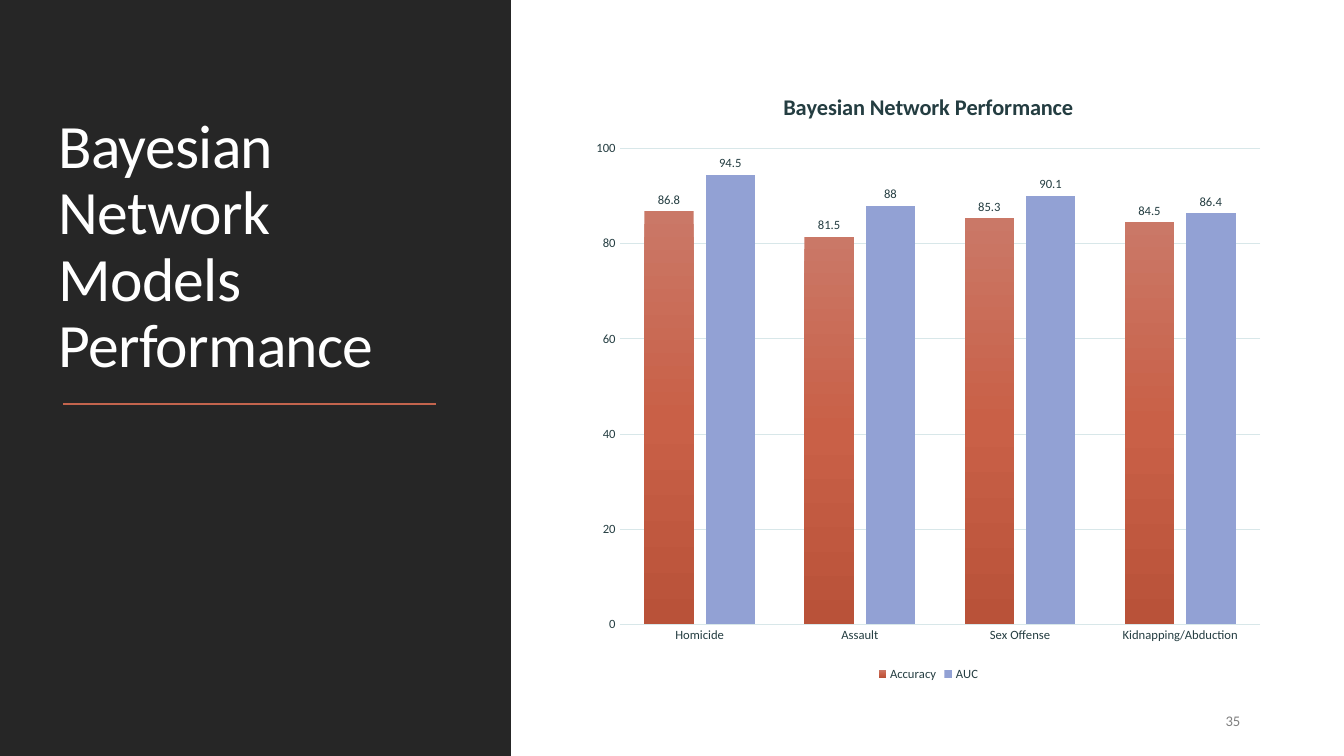
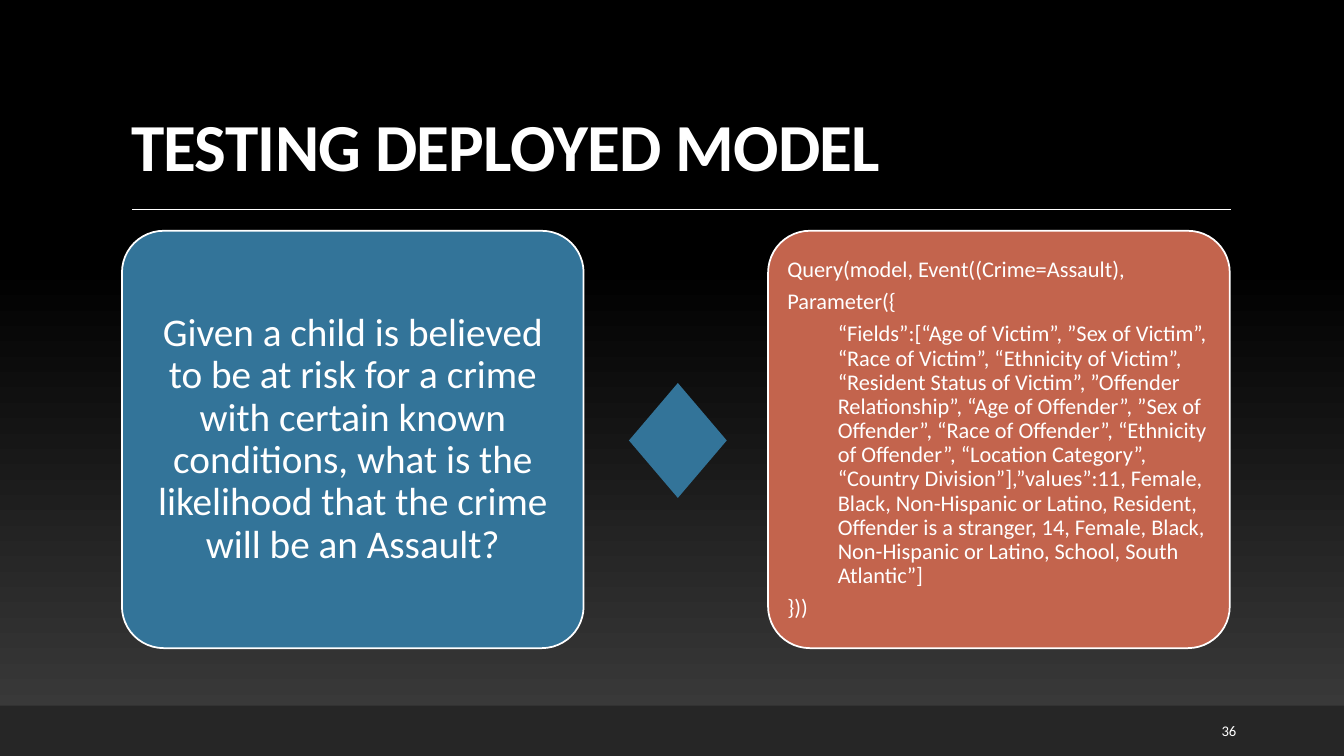
from copy import deepcopy
from dataclasses import dataclass

from lxml import etree
from pptx import Presentation
from pptx.chart.data import CategoryChartData
from pptx.dml.color import RGBColor
from pptx.enum.chart import XL_CHART_TYPE as Chart
from pptx.enum.chart import XL_LABEL_POSITION as LabelPos
from pptx.enum.chart import XL_LEGEND_POSITION as LegendPos
from pptx.enum.chart import XL_TICK_MARK as Tick
from pptx.enum.shapes import MSO_CONNECTOR as Connector
from pptx.enum.shapes import MSO_SHAPE as Shape
from pptx.enum.text import MSO_ANCHOR as Anchor
from pptx.enum.text import MSO_AUTO_SIZE as AutoSize
from pptx.enum.text import PP_ALIGN as Align
from pptx.oxml.ns import qn
from pptx.util import Inches, Pt

FONT = "Calibri"
COLORS = {
    "white": "FFFFFF", "black": "000000", "dark": "262626", "charcoal": "3F3F3F",
    "rust": "C3644D", "blue": "337499", "lilac": "92A1D4", "gray": "808080",
    "ink": "243D41", "grid": "D8E7E9",
    "bar_top": "CA7867", "bar_mid": "C96047", "bar_low": "B95239",
}
SLIDE_W, SLIDE_H = 40 / 3, 7.5
CARD_TOP, CARD_W, CARD_H = 2.29, 4.58, 4.14


@dataclass(frozen=True)
class Box:
    left: float
    top: float
    width: float
    height: float

    def lengths(self) -> tuple:
        return tuple(map(Inches, (self.left, self.top, self.width, self.height)))


@dataclass(frozen=True)
class Card:
    left: float
    color: str
    size: float
    inset: float  # added to the inset of the rounded corners
    align: Align
    lines: tuple  # (level, text) pairs


@dataclass(frozen=True)
class Series:
    name: str
    values: tuple
    stops: tuple  # (position, colour) pairs; a single one is a solid fill


SERIES = (
    Series("Accuracy", (86.8, 81.5, 85.3, 84.5),
           ((0, "bar_top"), (0.5, "bar_mid"), (1, "bar_low"))),
    Series("AUC", (94.5, 88, 90.1, 86.4), ((0, "lilac"),)),
)
CATEGORIES = ("Homicide", "Assault", "Sex Offense", "Kidnapping/Abduction")

CARDS = (
    Card(1.21, "blue", 28, 0.13, Align.CENTER, (
        (0, "Given a child is believed to be at risk for a crime with certain known "
            "conditions, what is the likelihood that the crime will be an Assault?"),
    )),
    Card(7.62, "rust", 16, 0.07, Align.LEFT, (
        (0, "Query(model, Event((Crime=Assault),"),
        (0, "Parameter({"),
        (1, "“Fields”:[“Age of Victim”, ”Sex of Victim”, “Race of Victim”, "
            "“Ethnicity of Victim”, “Resident Status of Victim”, ”Offender "
            "Relationship”, “Age of Offender”, ”Sex of Offender”, “Race of "
            "Offender”, “Ethnicity of Offender”, “Location Category”, “Country "
            "Division”],”values”:11, Female, Black, Non-Hispanic or Latino, "
            "Resident, Offender is a stranger, 14, Female, Black, Non-Hispanic "
            "or Latino, School, South Atlantic”]"),
        (0, "}))"),
    )),
)


# Shared helpers
def rgb(name: str) -> RGBColor:
    return RGBColor.from_string(COLORS[name])


def set_attrs(obj, **values) -> None:
    for name, value in values.items():
        setattr(obj, name, value)


def set_font(font, size: float, color: str, bold: bool = False) -> None:
    set_attrs(font, name=FONT, size=Pt(size), bold=bold)
    font.color.rgb = rgb(color)


def set_line(line, color: str, width: float) -> None:
    line.color.rgb = rgb(color)
    line.width = Pt(width)


def set_solid(fill, color: str) -> None:
    fill.solid()
    fill.fore_color.rgb = rgb(color)


def set_gradient(fill, element, stops: tuple, angle: float) -> None:
    """Fill with the given stops; element is the XML that holds the fill."""
    fill.gradient()
    fill.gradient_angle = angle
    gs_list = element.find(".//" + qn("a:gsLst"))
    while len(gs_list) < len(stops):
        gs_list.append(deepcopy(gs_list[0]))
    for stop, (position, color) in zip(fill.gradient_stops, stops):
        stop.position = position
        stop.color.rgb = rgb(color)


def add_block(s, kind: Shape, box: Box, color: str):
    sp = s.shapes.add_shape(kind, *box.lengths())
    sp.shadow.inherit = False
    set_solid(sp.fill, color)
    sp.line.fill.background()
    return sp


def add_rule(s, left: float, right: float, y: float, color: str, width: float) -> None:
    rule = s.shapes.add_connector(Connector.STRAIGHT, Inches(left), Inches(y),
                                  Inches(right), Inches(y))
    set_line(rule.line, color, width)
    etree.SubElement(rule.element.spPr, qn("a:effectLst"))


def set_title(s, text: str, box: Box, size: float, bold: bool = False) -> None:
    title = s.shapes.title
    title.element.getparent().append(title.element)  # bring to the front
    left, top, width, height = box.lengths()
    set_attrs(title, left=left, top=top, width=width, height=height)
    tf = title.text_frame
    set_attrs(tf, auto_size=AutoSize.NONE, word_wrap=True,
              vertical_anchor=Anchor.BOTTOM)
    p = tf.paragraphs[0]
    set_attrs(p, alignment=Align.LEFT, line_spacing=0.9)
    r = p.add_run()
    r.text = text
    set_font(r.font, size, "white", bold)
    r.font._element.set("spc", "-50")


def add_number(s, number: int, box: Box, color: str) -> None:
    tf = s.shapes.add_textbox(*box.lengths()).text_frame
    set_attrs(tf, word_wrap=True, vertical_anchor=Anchor.MIDDLE)
    p = tf.paragraphs[0]
    p.text = str(number)
    set_font(p.font, 10.5, color)


# Chart
def add_bar_chart(s, box: Box) -> None:
    data = CategoryChartData()
    data.categories = CATEGORIES
    for item in SERIES:
        data.add_series(item.name, item.values)
    chart = s.shapes.add_chart(Chart.COLUMN_CLUSTERED, *box.lengths(), data).chart
    set_font(chart.font, 10, "black")

    chart.has_title = True
    p = chart.chart_title.text_frame.paragraphs[0]
    r = p.add_run()
    r.text = "Bayesian Network Performance"
    set_font(r.font, 16, "ink", bold=True)

    chart.has_legend = True
    set_attrs(chart.legend, position=LegendPos.BOTTOM, include_in_layout=False)
    set_font(chart.legend.font, 9, "ink")

    for axis in (chart.category_axis, chart.value_axis):
        set_attrs(axis, major_tick_mark=Tick.NONE, minor_tick_mark=Tick.NONE)
        set_font(axis.tick_labels.font, 9, "ink")
    set_line(chart.category_axis.format.line, "grid", 0.75)
    values = chart.value_axis
    set_attrs(values, minimum_scale=0, maximum_scale=100, major_unit=20)
    values.format.line.fill.background()
    set_line(values.major_gridlines.format.line, "grid", 0.75)

    plot = chart.plots[0]
    set_attrs(plot, gap_width=100, overlap=-24, vary_by_categories=False)
    for bars, item in zip(plot.series, SERIES):
        fill = bars.format.fill
        if len(item.stops) > 1:
            set_gradient(fill, bars._element, item.stops, 270)
        else:
            set_solid(fill, item.stops[0][1])
        labels = bars.data_labels
        set_attrs(labels, show_value=True, position=LabelPos.OUTSIDE_END)
        set_font(labels.font, 9, "ink")


# Rounded text card
def add_card(s, card: Card) -> None:
    sp = add_block(s, Shape.ROUNDED_RECTANGLE,
                   Box(card.left, CARD_TOP, CARD_W, CARD_H), card.color)
    sp.adjustments[0] = 0.1
    set_line(sp.line, "white", 1.25)
    tf = sp.text_frame
    set_attrs(tf, word_wrap=True, vertical_anchor=Anchor.MIDDLE)
    for side in ("left", "top", "right", "bottom"):
        setattr(tf, f"margin_{side}", Inches(card.inset))
    for i, (level, text) in enumerate(card.lines):
        p = tf.add_paragraph() if i else tf.paragraphs[0]
        p.text = text
        set_attrs(p, level=level, alignment=card.align, line_spacing=0.9,
                  space_after=Pt(0.35 * card.size))
        pPr = p._p.get_or_add_pPr()
        pPr.set("marL", str(Inches(0.5 * level)))
        pPr.set("indent", "0")
        set_font(p.font, card.size, "white")


# Slides
def build_performance(s) -> None:
    add_block(s, Shape.RECTANGLE, Box(0, 0, SLIDE_W, SLIDE_H), "white")
    add_block(s, Shape.RECTANGLE, Box(0, 0, 5.07, SLIDE_H), "dark")
    set_title(s, "Bayesian Network Models Performance", Box(0.48, 0.7, 4, 3.13), 44)
    add_rule(s, 0.63, 4.33, 4.01, "rust", 1.5)
    add_bar_chart(s, Box(5.78, 0.7, 6.86, 6.1))
    add_number(s, 35, Box(12.06, 6.95, 0.5, 0.4), "gray")


def build_testing(s) -> None:
    set_gradient(s.background.fill, s.element,
                 ((0, "charcoal"), (0.65, "black"), (1, "black")), 90)
    add_block(s, Shape.RECTANGLE, Box(0, 7, SLIDE_W, 0.5), "dark")
    add_rule(s, 1.31, 12.21, 2.08, "white", 1)
    set_title(s, "TESTING DEPLOYED MODEL", Box(1.2, 0.31, 11, 1.59), 48, bold=True)
    add_number(s, 36, Box(12.02, 7.05, 0.85, 0.4), "white")
    for card in CARDS:
        add_card(s, card)
    add_block(s, Shape.DIAMOND, Box(6.24, 3.8, 0.97, 1.14), "blue")


def main() -> None:
    prs = Presentation()
    set_attrs(prs, slide_width=Inches(SLIDE_W), slide_height=Inches(SLIDE_H))
    title_only = prs.slide_layouts[5]
    for build in (build_performance, build_testing):
        build(prs.slides.add_slide(title_only))
    prs.save("out.pptx")


if __name__ == "__main__":
    main()
